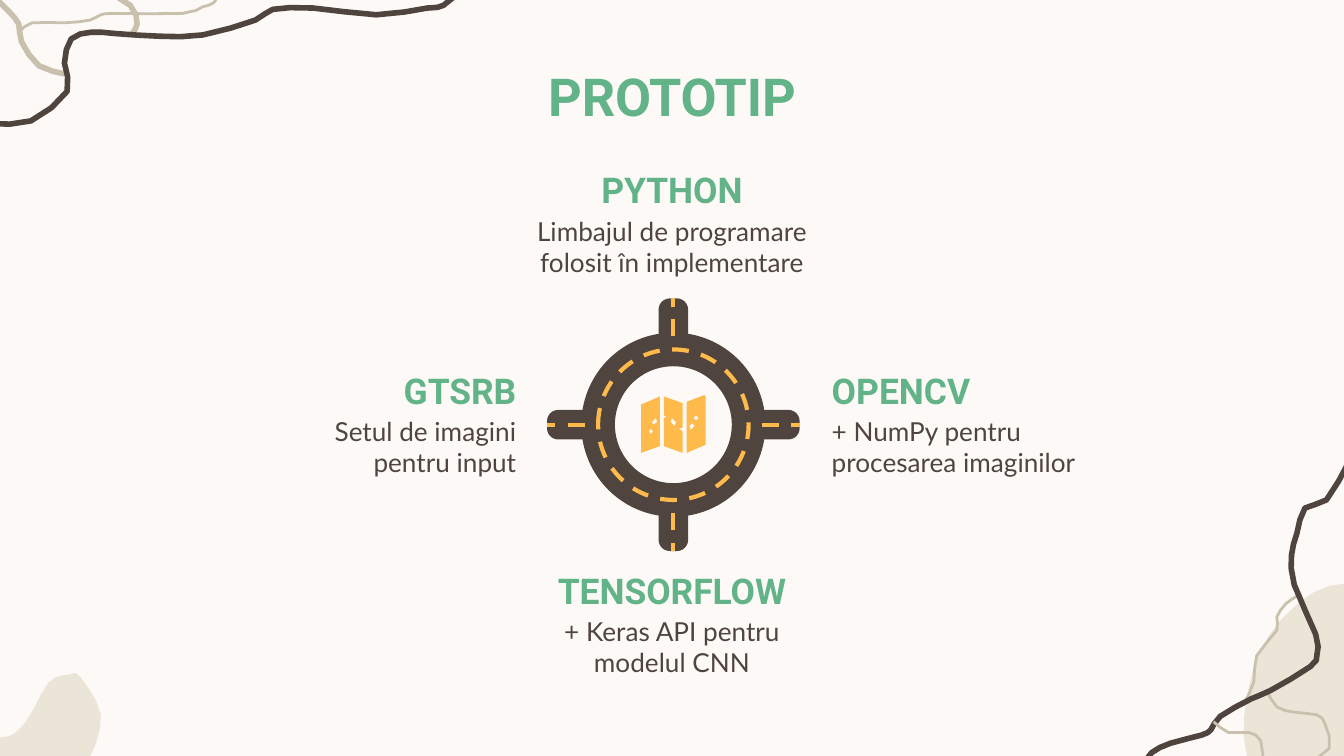
"""Build the prototype slide: a roundabout with four labelled exits."""
from dataclasses import dataclass

import pptx
import pptx.dml.color
import pptx.enum.dml
import pptx.enum.shapes
import pptx.enum.text
import pptx.oxml
import pptx.oxml.ns
import pptx.util

RGB = pptx.dml.color.RGBColor
PAPER = RGB(0xFC, 0xF9, 0xF7)
SAND = RGB(0xEB, 0xE5, 0xD8)
TAUPE = RGB(0xC9, 0xC0, 0xAD)
ASPHALT = RGB(0x50, 0x44, 0x3F)
AMBER = RGB(0xFF, 0xBA, 0x4C)
GREEN = RGB(0x63, 0xB3, 0x89)
CELL = pptx.util.Inches(0.1)
COLS, ROWS = 100, 56.25
CENTRE = (50.1, 31.6)
DASH = pptx.enum.dml.MSO_LINE.DASH
ALIGN = pptx.enum.text.PP_ALIGN
ANCHOR = pptx.enum.text.MSO_ANCHOR
MSO = pptx.enum.shapes.MSO_SHAPE
TITLE = {"name": "Roboto", "size": pptx.util.Pt(28), "bold": True}
HEADING = {"name": "Roboto", "size": pptx.util.Pt(19), "bold": True}
BODY = {"name": "Lato", "size": pptx.util.Pt(14), "bold": False}
Points = list[tuple[float, float]]


@dataclass
class Trail:
    """A smooth open line through grid points."""
    color: RGB
    width: float
    points: Points


@dataclass
class Label:
    """A heading with a description below it."""
    heading: str
    body: str
    col: float
    row: float
    align: ALIGN
    indent: float = 0


@dataclass
class Panel:
    """One fold of the map with its cut-out marks."""
    outline: Points
    marks: list[Points]


BLOBS = [
    [(103.8, 45), (100.9, 43.5), (97.7, 44.1), (94.4, 47.3), (92.8, 51.7),
     (92.8, 56.4), (95.5, 62), (101, 64.2), (108.3, 63), (111, 56.5),
     (107.3, 54.1), (105.3, 47.7)],
    [(-6, 48.9), (-9.2, 51.4), (-9.2, 54.9), (-6.9, 58.7), (-0.5, 60.9),
     (4, 59.7), (6.6, 56.5), (7.5, 53.2), (6, 50.4), (5.1, 50.2),
     (3.6, 50.8), (2, 53.6), (0.6, 54.8), (-1.1, 54.5), (-2.1, 52.2),
     (-3.7, 49.8)],
]

TRAILS = [
    Trail(TAUPE, 3, [(9.8, 2.5), (10.2, 1.8), (9.7, 0.4), (7.3, -1)]),
    Trail(TAUPE, 1.5, [(94.2, 51.3), (95, 52.6), (96.3, 53), (98, 53.2),
                       (98.6, 53.9), (98.9, 55.7), (97.1, 56.9)]),
    Trail(TAUPE, 1.5, [(96.6, 44.3), (95.7, 44.9), (95, 45.9), (95, 46.9),
                       (93.5, 48.8), (93.3, 50.7), (92.7, 52.1)]),
    Trail(ASPHALT, 3, [(100.3, 34.5), (98.7, 37.2), (97.1, 37.8), (96.5, 39.7),
                       (96.1, 41.3), (96.3, 43.5), (97.9, 47.2), (98, 48.7),
                       (97.5, 49.6), (94.5, 51.4), (93.1, 52), (90.8, 53.3),
                       (90.1, 54.3), (89.4, 54.7), (87.1, 55.3), (85.7, 56),
                       (85, 57)]),
    Trail(TAUPE, 1.5, [(90.3, 53.7), (91.4, 54.5), (92.9, 54.5), (93.8, 55.1),
                       (94, 56.9)]),
    Trail(TAUPE, 3, [(4.8, 5.5), (2.9, 4.9), (1.6, 3.1), (1.4, 1.8),
                     (0.7, 0.9), (-0.3, -0.1)]),
    Trail(ASPHALT, 3, [(-0.5, 9.2), (2.3, 9), (5, 6.8), (4.8, 4.7), (5.3, 2.9),
                       (6.8, 2.4), (8.6, 2.5), (11.9, 2.7), (15.1, 2.6),
                       (19, 1.5), (20.3, 0.7), (23.3, 0.6), (28, 1.1),
                       (31.8, 0.6), (33, 0.4), (34.5, -0.9)]),
    Trail(TAUPE, 1.5, [(1.5, 2.3), (2.4, 1.7), (4.8, 1.7), (6.7, 1.5),
                       (7.5, 1.1), (8.6, 1), (13.6, 1), (15.1, 0.5),
                       (15.9, 0.2), (16.7, -0.9)]),
]

LABELS = [
    Label("TENSORFLOW", "+ Keras API pentru modelul CNN", 38.4, 40.7, ALIGN.CENTER),
    Label("PYTHON", "Limbajul de programare folosit în implementare", 38.4, 10.9, ALIGN.CENTER),
    Label("OPENCV", "+ NumPy pentru procesarea imaginilor", 60.9, 25.8, ALIGN.LEFT),
    Label("GTSRB", "Setul de imagini pentru input", 16.2, 25.8, ALIGN.RIGHT, 3.2),
]

PANELS = [
    Panel([(49.1, 29.5), (47.7, 30.1), (47.7, 33.7), (49.1, 33.2)],
          [[(48.8, 31.1), (48.9, 31.4), (48.6, 31.6), (48.5, 31.4)],
           [(48.4, 31.9), (48.6, 32.1), (48.4, 32.3), (48.3, 32.1)]]),
    Panel([(49.4, 29.5), (49.4, 30.9), (49.6, 31), (49.4, 31.1), (49.4, 33.2),
           (50.8, 33.7), (50.8, 32.1), (50.5, 31.9), (50.8, 31.8), (50.8, 30)],
          [[(50, 31.1), (50.3, 31.4), (50.2, 31.7), (49.9, 31.4)]]),
    Panel([(52.4, 29.4), (51.1, 29.9), (51.1, 33.7), (52.5, 33.1), (52.5, 29.5)],
          [[(51.8, 30.9), (52, 31.1), (51.8, 31.3), (51.6, 31.1)],
           [(51.5, 31.5), (51.7, 31.7), (51.4, 32), (51.3, 31.7)]]),
]


def cells(*values: float) -> list[int]:
    """Turn grid cells into lengths."""
    return [round(v * CELL) for v in values]


def smooth(points: Points, closed: bool, steps: int) -> Points:
    """Sample a Catmull-Rom curve through the points."""
    ring = [points[-1], *points, *points[:2]] if closed else [points[0], *points, points[-1]]
    curve = [points[0]]
    for a, b, c, d in zip(ring, ring[1:], ring[2:], ring[3:]):
        for t in (i / steps for i in range(1, steps + 1)):
            curve.append(tuple(
                q + t / 2 * (r - p + t * (2 * p - 5 * q + 4 * r - s + t * (3 * (q - r) + s - p)))
                for p, q, r, s in zip(a, b, c, d)))
    return curve


def stroke(sp, color: RGB, width: float, dash=None) -> None:
    """Set colour, width and dash of a line."""
    sp.line.color.rgb = color
    sp.line.width = pptx.util.Pt(width)
    if dash:
        sp.line.dash_style = dash


def paint(sp, fill: RGB | None = None, line: RGB | None = None, width: float = 0, dash=None) -> None:
    """Set fill and line and drop the shadow."""
    sp.shadow.inherit = False
    if fill is None:
        sp.fill.background()
    else:
        sp.fill.solid()
        sp.fill.fore_color.rgb = fill
    if line is None:
        sp.line.fill.background()
    else:
        stroke(sp, line, width, dash)


def add_outline(shapes, contours: list[Points], closed: bool = True):
    """Add a freeform made of one or more contours."""
    first, *rest = [[tuple(cells(*pt)) for pt in c] for c in contours]
    fb = shapes.build_freeform(*first[0])
    fb.add_line_segments(first[1:], close=closed)
    for contour in rest:
        fb.move_to(*contour[0])
        fb.add_line_segments(contour[1:], close=closed)
    return fb.convert_to_shape()


def add_centred(shapes, kind, x: float, y: float, w: float, h: float):
    """Add a preset shape around a centre."""
    return shapes.add_shape(kind, *cells(x - w / 2, y - h / 2, w, h))


def add_text(shapes, text: str, box: tuple, fmt: dict, color: RGB, align, anchor) -> None:
    """Add a wrapped text box with one paragraph."""
    tf = shapes.add_textbox(*cells(*box)).text_frame
    frame = dict.fromkeys(("margin_left", "margin_right", "margin_top", "margin_bottom"), CELL)
    for key, value in {**frame, "word_wrap": True, "vertical_anchor": anchor}.items():
        setattr(tf, key, value)
    p = tf.paragraphs[0]
    p.alignment = align
    r = p.add_run()
    r.text = text
    for key, value in fmt.items():
        setattr(r.font, key, value)
    r.font.color.rgb = color


def add_roundabout(shapes) -> None:
    """Draw the ring road with its four exits."""
    x, y = CENTRE
    paint(add_centred(shapes, MSO.OVAL, x, y, 11.2, 11.2), PAPER, ASPHALT, 18)
    for dx, dy in ((0, 1), (0, -1), (-1, 0), (1, 0)):
        sp = add_centred(shapes, MSO.ROUNDED_RECTANGLE, x + 7.5 * dx, y + 7.5 * dy, 3.8, 2.2)
        sp.adjustments[0] = 0.38
        sp.rotation = 270 if dy else 0
        paint(sp, ASPHALT)
        ends = [v for k in (6.6, 9.4) for v in (x + k * dx, y + k * dy)]
        cx = shapes.add_connector(pptx.enum.shapes.MSO_CONNECTOR.STRAIGHT, *cells(*ends))
        stroke(cx, AMBER, 2.25, DASH)
        cx._element.spPr.append(pptx.oxml.parse_xml(f"<a:effectLst {pptx.oxml.ns.nsdecls('a')}/>"))
    paint(add_centred(shapes, MSO.OVAL, x, y, 11.2, 11.2), None, AMBER, 2.25, DASH)


prs = pptx.Presentation()
prs.slide_width, prs.slide_height = cells(COLS, ROWS)
slide = prs.slides.add_slide(prs.slide_layouts[6])
slide.background.fill.solid()
slide.background.fill.fore_color.rgb = PAPER
shapes = slide.shapes
for blob in BLOBS:
    paint(add_outline(shapes, [smooth(blob, True, 3)]), SAND)
for trail in TRAILS:
    paint(add_outline(shapes, [smooth(trail.points, False, 2)], False), None, trail.color, trail.width)
add_text(shapes, "PROTOTIP", (8.3, 4, 83.4, 6.3), TITLE, GREEN, ALIGN.CENTER, ANCHOR.MIDDLE)
add_roundabout(shapes)
for lb in LABELS:
    add_text(shapes, lb.heading, (lb.col, lb.row, 23.2, 5.8), HEADING, GREEN, lb.align, ANCHOR.BOTTOM)
    add_text(shapes, lb.body, (lb.col + lb.indent, lb.row + 4.1, 23.2 - lb.indent, 7.4),
             BODY, ASPHALT, lb.align, ANCHOR.TOP)
for panel in PANELS:
    paint(add_outline(shapes, [panel.outline, *panel.marks]), AMBER)
prs.save("out.pptx")
